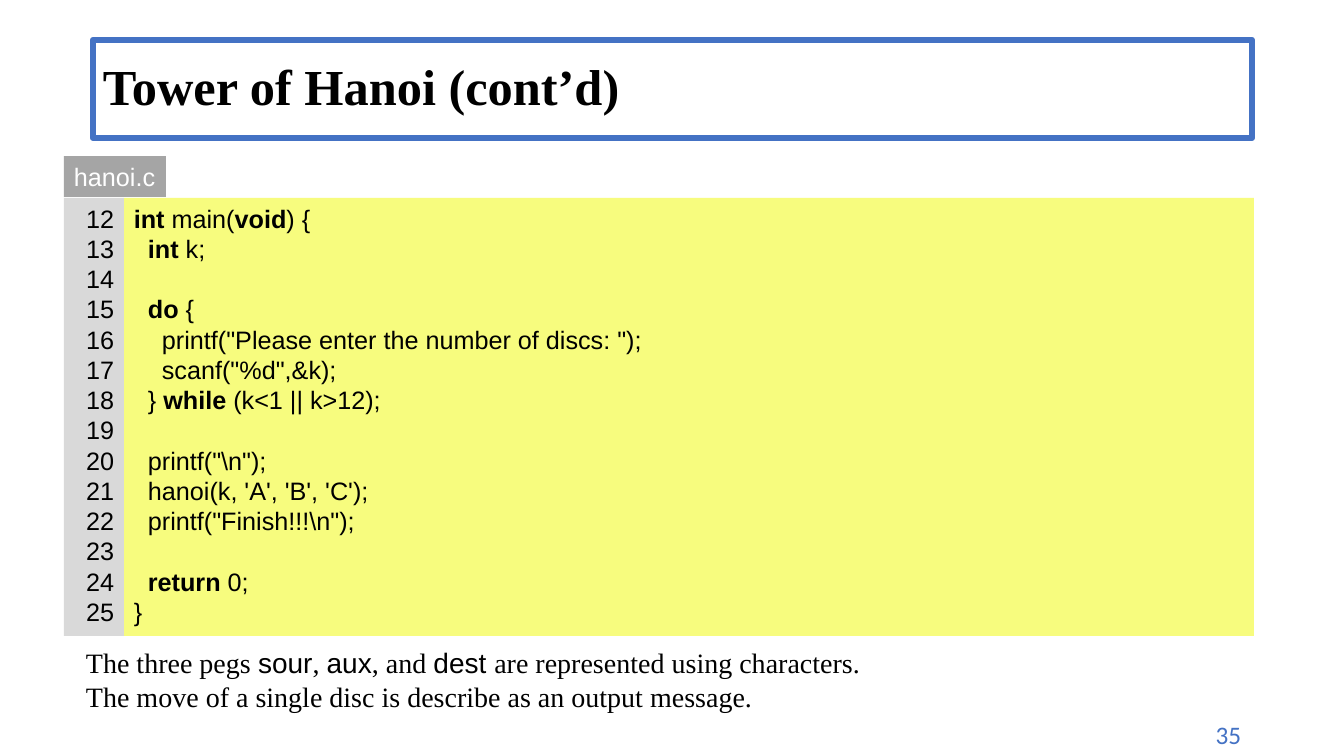
from pptx import Presentation
from pptx import util as u
from pptx.dml.color import RGBColor
from pptx.enum import text

HUES = {"blue": "4472C4", "gray": "A5A5A5", "pale": "D9D9D9",
        "yellow": "F7FC7E", "black": "000000", "white": "FFFFFF"}
SANS, SERIF = "Arial", "Times New Roman"
TITLE = "Tower of Hanoi (cont’d)"
FILE = "hanoi.c"
FIRST = 12
CODE = [
    (0, "*int *main(*void*) {"),
    (1, "*int *k;"),
    None,
    (1, "*do *{"),
    (2, 'printf("Please enter the number of discs: ");'),
    (2, 'scanf("%d",&k);'),
    (1, "} *while *(k<1 || k>12);"),
    None,
    (1, 'printf("\\n");'),
    (1, "hanoi(k, 'A', 'B', 'C');"),
    (1, 'printf("Finish!!!\\n");'),
    None,
    (1, "*return *0;"),
    (0, "}"),
]
NOTES = ["The three pegs *sour*, *aux*, and *dest *are represented using characters.",
         "The move of a single disc is describe as an output message."]
PAGE = "35"

PX = 914400 / 100.8
LEFT, TOP, GUTTER, RIGHT, DEEP = 64, 198, 60, 1254, 438
TAB = 14
PITCH = u.Pt(21.6)


def emu(px):
    return u.Emu(round(px * PX))


def box(x, y, w, h, fill=None, wrap=True):
    shape = slide.shapes.add_textbox(*map(emu, (x, y, w, h)))
    if fill:
        shape.fill.solid()
        shape.fill.fore_color.rgb = RGBColor.from_string(HUES[fill])
    shape.text_frame.word_wrap = wrap
    return shape


def write(shape, lines, size, face=SANS, hue="black", mark=None):
    frame = shape.text_frame
    for i, line in enumerate(lines):
        para = frame.add_paragraph() if i else frame.paragraphs[0]
        para.font.size = u.Pt(size)
        para.font.name = face
        para.font.color.rgb = RGBColor.from_string(HUES[hue])
        for j, part in enumerate(line.split("*")):
            if part:
                run = para.add_run()
                run.text = part
                if j % 2:
                    mark(run.font)
    return frame.paragraphs


def bold(font):
    font.bold = True


def sans(font):
    font.name = SANS


deck = Presentation()
deck.slide_width, deck.slide_height = emu(1344), emu(756)
slide = deck.slides.add_slide(deck.slide_layouts[6])

page = write(box(1093, 714, 158, 40), [PAGE], 18, "Calibri", "blue")
page[0].alignment = text.PP_ALIGN.RIGHT

head = box(93, 40, 1159, 98)
head.line.color.rgb = RGBColor.from_string(HUES["blue"])
head.line.width = u.Pt(4.5)
head.text_frame.vertical_anchor = text.MSO_ANCHOR.MIDDLE
title = write(head, [TITLE], 36, SERIF)[0]
title.font.bold = True
title.line_spacing = 0.9

write(box(LEFT, 156, 102, 41, "gray", False), [FILE], 18, hue="white")

pane = box(LEFT + GUTTER, TOP, RIGHT - LEFT - GUTTER, DEEP, "yellow")
rows = [row for row in CODE if row]
paras = iter(write(pane, [line for _, line in rows], 18, mark=bold))
gap = 0
for row in CODE:
    if not row:
        gap += PITCH
        continue
    para = next(paras)
    para.line_spacing = PITCH
    para.space_before = u.Emu(gap)
    para._p.get_or_add_pPr().set("marL", str(emu(row[0] * TAB)))
    gap = 0

nums = [str(FIRST + i) for i in range(len(CODE))]
for para in write(box(LEFT, TOP, GUTTER, DEEP, "pale"), nums, 18):
    para.alignment = text.PP_ALIGN.RIGHT
    para.line_spacing = PITCH

write(box(76, 641, 1131, 78), NOTES, 20, SERIF, mark=sans)

deck.save("out.pptx")
